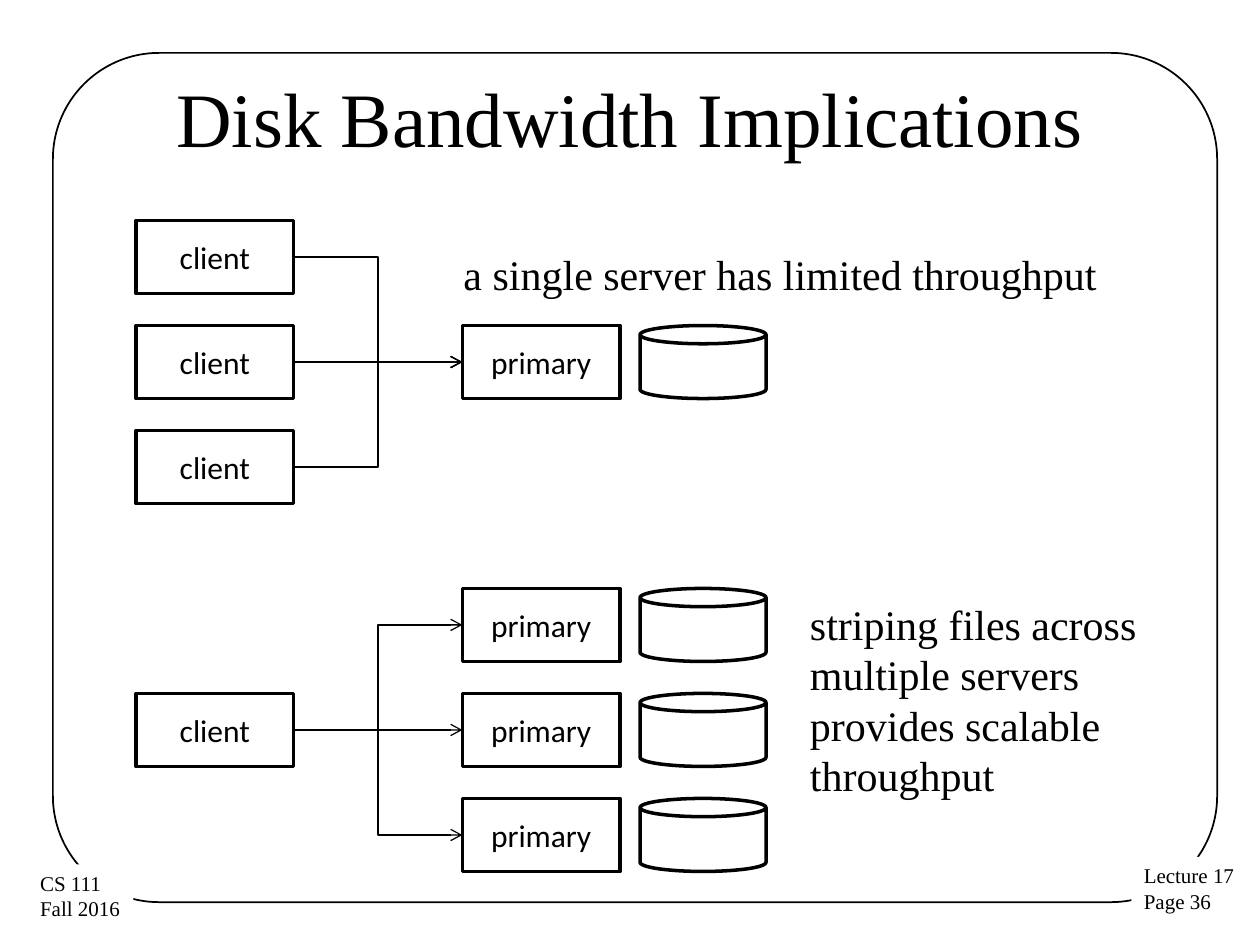
from lxml.etree import SubElement
from pptx import Presentation
from pptx.dml.color import RGBColor
from pptx.enum.shapes import MSO_CONNECTOR, MSO_SHAPE
from pptx.enum.text import MSO_ANCHOR, MSO_AUTO_SIZE, PP_ALIGN
from pptx.oxml.ns import qn
from pptx.util import Inches, Pt

COLORS = {"ink": "000000", "paper": "FFFFFF"}
INK = RGBColor.from_string(COLORS["ink"])
PAPER = RGBColor.from_string(COLORS["paper"])
SERIF, SANS = "Times New Roman", "Calibri"
RIGHT_SITE, LEFT_SITE = 3, 1  # connection sites of a rectangle

prs = Presentation()
prs.slide_width, prs.slide_height = Inches(10), Inches(7.5)
s = prs.slides.add_slide(prs.slide_layouts[5])


def add_outline(kind, x, y, w, h, weight):
    sp = s.shapes.add_shape(kind, Inches(x), Inches(y), Inches(w), Inches(h))
    sp.shadow.inherit = False
    sp.fill.background()
    sp.line.color.rgb = INK
    sp.line.width = Pt(weight)
    return sp


def write(sp, lines, size, font, align=PP_ALIGN.LEFT, anchor=MSO_ANCHOR.TOP, wrap=True):
    tf = sp.text_frame
    tf.word_wrap = wrap
    tf.vertical_anchor = anchor
    for i, line in enumerate(lines):
        p = tf.add_paragraph() if i else tf.paragraphs[0]
        p.alignment = align
        r = p.add_run()
        r.text = line
        r.font.size = Pt(size)
        r.font.name = font
        r.font.color.rgb = INK


# Frame, with the corner labels covering its lower corners
frame = add_outline(MSO_SHAPE.ROUNDED_RECTANGLE, 0.42, 0.42, 9.24, 6.74, 1)
frame.adjustments[0] = 0.125
for x, y, w, lines in [
    (8.98, 6.8, 0.93, ["Lecture 17", "Page 36"]),
    (0.22, 6.86, 0.84, ["CS 111", "Fall 2016"]),
]:
    label = s.shapes.add_textbox(Inches(x), Inches(y), Inches(w), Inches(0.51))
    label.fill.solid()
    label.fill.fore_color.rgb = PAPER
    write(label, lines, 12, SERIF, wrap=False)
    label.text_frame.auto_size = MSO_AUTO_SIZE.SHAPE_TO_FIT_TEXT

# Title
title = s.shapes.title
title.left, title.top, title.width, title.height = (
    Inches(0.5), Inches(0.3), Inches(9), Inches(1.25))
write(title, ["Disk Bandwidth Implications"], 44, SERIF, PP_ALIGN.CENTER, MSO_ANCHOR.MIDDLE)

# Two diagrams: many clients to one server, then one client to many servers
BOX_W, BOX_H, ROW_STEP = 1.25, 0.58, 2.5 / 3
COLUMNS = {"client": 1.08, "primary": 3.67}
DISK_X = 5.08
for top, rows in [
    (1.75, {"client": [0, 1, 2], "primary": [1]}),
    (4.67, {"client": [1], "primary": [0, 1, 2]}),
]:
    boxes = {"client": [], "primary": []}
    for role, x in COLUMNS.items():
        for row in rows[role]:
            y = top + row * ROW_STEP
            box = add_outline(MSO_SHAPE.RECTANGLE, x, y, BOX_W, BOX_H, 2)
            write(box, [role], 18, SANS, PP_ALIGN.CENTER, MSO_ANCHOR.MIDDLE)
            boxes[role].append(box)
            if role == "primary":
                add_outline(MSO_SHAPE.CAN, DISK_X, y, 1, BOX_H, 2)

    # Arrows from every client to every server
    for client in boxes["client"]:
        for server in boxes["primary"]:
            level = client.top == server.top
            kind = MSO_CONNECTOR.STRAIGHT if level else MSO_CONNECTOR.ELBOW
            arrow = s.shapes.add_connector(
                kind, client.left + client.width, client.top + client.height // 2,
                server.left, server.top + server.height // 2)
            arrow.begin_connect(client, RIGHT_SITE)
            arrow.end_connect(server, LEFT_SITE)
            arrow.line.color.rgb = INK
            arrow.line.width = Pt(0.75)
            SubElement(arrow.line._get_or_add_ln(), qn("a:tailEnd"), type="arrow")
            SubElement(arrow._element.spPr, qn("a:effectLst"))

# Captions
for x, y, w, h, text in [
    (3.58, 1.92, 5.67, 0.5, "a single server has limited throughput"),
    (6.33, 4.7, 3.25, 1.72,
     "striping files across multiple servers provides scalable throughput"),
]:
    caption = s.shapes.add_textbox(Inches(x), Inches(y), Inches(w), Inches(h))
    write(caption, [text], 24, SERIF)
    caption.text_frame.auto_size = MSO_AUTO_SIZE.SHAPE_TO_FIT_TEXT

prs.save("out.pptx")
